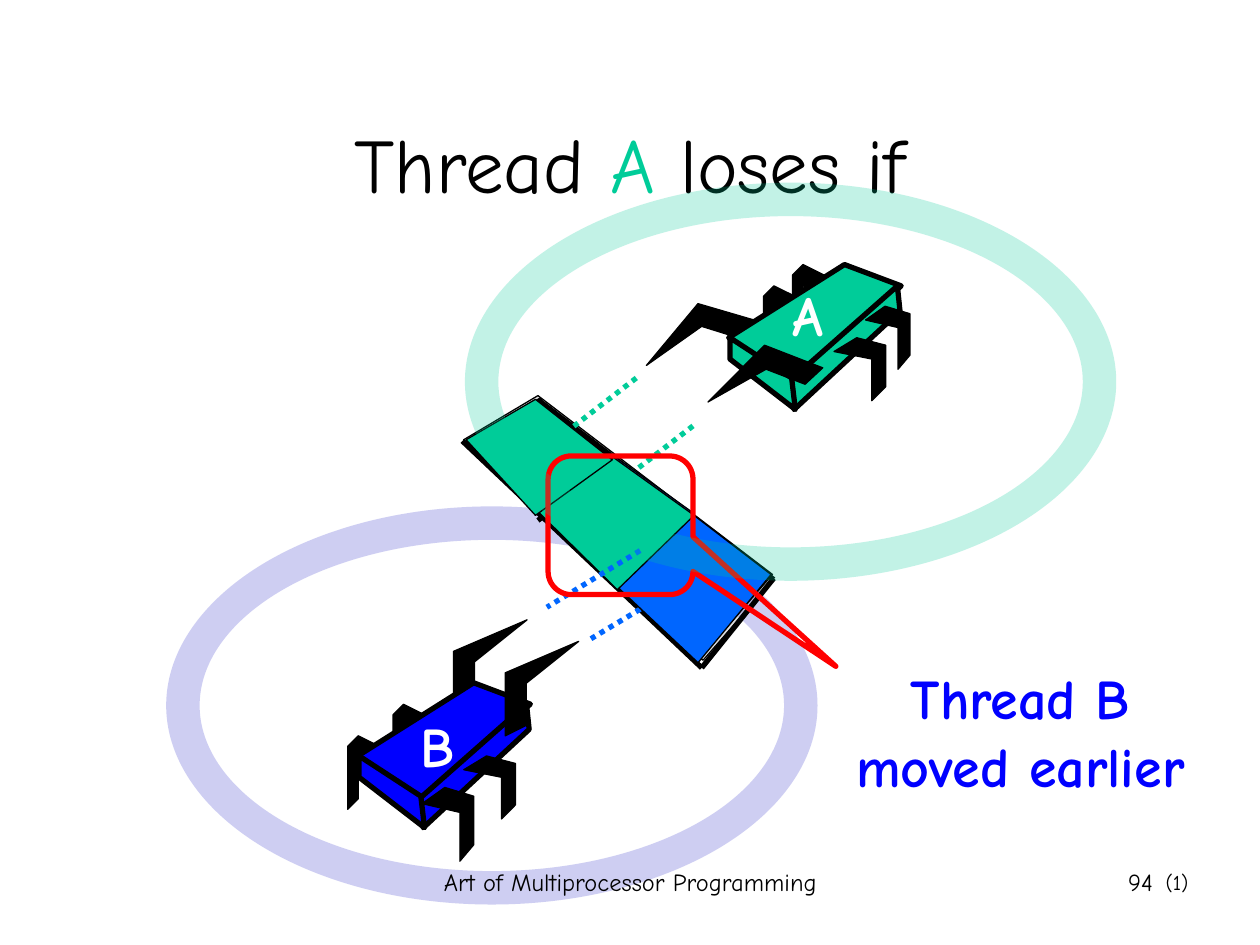
from dataclasses import dataclass

from lxml import etree
from pptx import Presentation
from pptx.dml import color
from pptx.enum import dml, shapes, text
from pptx.oxml import ns
from pptx.util import Pt


@dataclass(frozen=True)
class Theme:
    font: str = "Comic Neue"
    black: str = "000000"
    white: str = "FFFFFF"
    grey: str = "DDDDDD"
    thread_a: str = "00CC99"
    thread_b: str = "0000FF"
    tile_b: str = "0066FF"
    ring_b: str = "3333CC"
    alert: str = "FF0000"
    title: int = 44
    label: int = 32
    footer: int = 14
    click: int = 12
    thin: float = 0.75
    thick: float = 3


theme = Theme()
rgb = color.RGBColor.from_string


def outline(parent, points, fill, width=theme.thin, at=(0, 0), scale=(1, 1)):
    """Add a closed, black-edged polygon, its points scaled and then moved to at."""
    placed = [(Pt(at[0] + x * scale[0]), Pt(at[1] + y * scale[1])) for x, y in points]
    builder = parent.build_freeform(*placed[0])
    builder.add_line_segments(placed[1:], close=True)
    polygon = builder.convert_to_shape()
    polygon.shadow.inherit = False
    polygon.fill.solid()
    polygon.fill.fore_color.rgb = rgb(fill)
    polygon.line.color.rgb = rgb(theme.black)
    polygon.line.width = Pt(width)


def write(frame, runs, size, align, bold=False):
    """Fill a text frame with one paragraph of (wording, colour) runs."""
    frame.auto_size = text.MSO_AUTO_SIZE.NONE
    paragraph = frame.paragraphs[0]
    paragraph.alignment = align
    for wording, tint in runs:
        run = paragraph.add_run()
        run.text = wording
        run.font.name = theme.font
        run.font.size = Pt(size)
        run.font.bold = bold
        run.font.color.rgb = rgb(tint)


prs = Presentation()
prs.slide_width, prs.slide_height = Pt(720), Pt(540)
slide = prs.slides.add_slide(prs.slide_layouts[5])
canvas = slide.shapes
CENTER, RIGHT = text.PP_ALIGN.CENTER, text.PP_ALIGN.RIGHT

title = canvas.title
title.left, title.top, title.width, title.height = Pt(54), Pt(48), Pt(612), Pt(90)
title.text_frame.vertical_anchor = text.MSO_ANCHOR.MIDDLE
write(title.text_frame,
      [("Thread ", theme.black), ("A", theme.thread_a), (" loses if", theme.black)],
      theme.title, CENTER)

# Board under the tiles
outline(canvas, [(396.7, 295.9), (352.8, 337), (401.8, 377.3), (442.1, 331.2)], theme.grey)
outline(canvas, [(307.4, 226.1), (265, 251.3), (398.9, 377.3), (441.4, 328.3)], theme.grey)

# Rings: the one around B lies behind the robots, the one around A in front
rings = []
for left, top, tint in [(95, 289.4, theme.ring_b), (265.7, 104.4, theme.thread_a)]:
    ring = canvas.add_shape(shapes.MSO_SHAPE.DONUT, Pt(left), Pt(top), Pt(372.2), Pt(227.5))
    ring.adjustments[0] = 0.084
    ring.shadow.inherit = False
    ring.fill.solid()
    ring.fill.fore_color.rgb = rgb(tint)
    solid = ring.fill.fore_color._xFill.find(ns.qn("a:srgbClr"))
    etree.SubElement(solid, ns.qn("a:alpha"), val="24000")
    ring.line.fill.background()
    rings.append(ring)

# Robots: body faces are measured from the topmost corner
top_face = [(0, 0), (-66.2, 41.8), (-28.8, 67), (32.4, 12.2)]
side_face = [(30.2, 12.2), (-30.2, 65.5), (-28.8, 82.8), (31.7, 26.6)]
end_face = [(-65.5, 41.8), (-65.5, 54), (-28.1, 82.8), (-30.2, 64.8)]
far_leg = [(18, 6), (6, 0), (0, 6), (0, 42), (6, 36), (6, 12), (18, 18)]
near_leg = [(13, 0), (0, 7.9), (21.6, 12.2), (21.6, 36), (29.5, 28), (29.5, 4.3)]
arm_b = [(0, 54), (12, 48), (12, 24), (42, 0), (0, 18)]
arms_a = [
    [(433.4, 183.6), (424.1, 193.7), (401, 186.5), (369.4, 208.8), (398.9, 173.5)],
    [(470.2, 210.2), (460.1, 219.6), (437.8, 211), (404.6, 229.7), (437, 197.3)],
]
robots = [
    (theme.thread_b, (270.7, 390.2), [(198.7, 420.5), (224.6, 402.5)],
     [((241.2, 450), (1, 1.17)), ((265, 432), (1, 1))],
     [(arm_b, (259.2, 354.2)), (arm_b, (288.7, 366.5))]),
    (theme.thread_a, (482.6, 151.2), [(452.9, 151.2), (436.3, 163.4)],
     [((494.6, 175), (0.86, 1)), ((476.6, 193), (1, 1))],
     [(arm, (0, 0)) for arm in arms_a]),
]
for tint, corner, far_legs, near_legs, (far_arm, near_arm) in robots:
    robot = canvas.add_group_shape().shapes
    outline(robot, far_arm[0], theme.black, at=far_arm[1])
    for place in far_legs:
        outline(robot, far_leg, theme.black, at=place)
    for face in (top_face, side_face, end_face):
        outline(robot, face, tint, theme.thick, corner)
    for place, stretch in near_legs:
        outline(robot, near_leg, theme.black, at=place, scale=stretch)
    outline(robot, near_arm[0], theme.black, at=near_arm[1])

# Board edges and dividers, then the dotted reaches of each robot
strokes = [
    (264.2, 252, 401, 381.6, theme.black),
    (308.9, 229.7, 442.1, 331.2, theme.black),
    (266.4, 253.4, 309.6, 228.2, theme.black),
    (401, 381.6, 442.1, 330.5, theme.black),
    (354.2, 337, 398.9, 297.4, theme.black),
    (307.4, 297.4, 352.1, 264.2, theme.black),
    (363.6, 216, 313.2, 254.9, theme.thread_a),
    (396, 243.4, 345.6, 282.2, theme.thread_a),
    (391.7, 332.6, 337.7, 365, theme.tile_b),
    (365.8, 314.6, 312.5, 347, theme.tile_b),
]
for x1, y1, x2, y2, tint in strokes:
    stroke = canvas.add_connector(shapes.MSO_CONNECTOR.STRAIGHT, Pt(x1), Pt(y1), Pt(x2), Pt(y2))
    stroke.line.color.rgb = rgb(tint)
    stroke.line.width = Pt(theme.thick)
    if tint != theme.black:
        stroke.line.dash_style = dml.MSO_LINE.ROUND_DOT
    etree.SubElement(stroke._element.spPr, ns.qn("a:effectLst"))
upper_reach_b = stroke

# Tiles: both B tiles, then the A tiles that cover the middle one
tile_pairs = [
    (theme.tile_b,
     [(394.6, 293), (351.4, 334.1), (398.9, 378.7), (440.6, 328.3)],
     [(306.7, 290.9), (352.1, 335.5), (396, 293), (349.9, 259.9)]),
    (theme.thread_a,
     [(307.4, 292.3), (352.8, 337), (396.7, 294.5), (350.6, 261.4)],
     [(306, 228.2), (266.4, 251.3), (306, 294.5), (349.9, 262.8)]),
]
for tint, *tiles in tile_pairs:
    pair = canvas.add_group_shape().shapes
    for tile in tiles:
        outline(pair, tile, tint)
canvas._spTree.append(upper_reach_b._element)

callout = canvas.add_shape(shapes.MSO_SHAPE.ROUNDED_RECTANGULAR_CALLOUT,
                           Pt(313.2), Pt(260.6), Pt(82.8), Pt(79.2))
for index, value in enumerate((1.486, 1.018, 0.167)):
    callout.adjustments[index] = value
callout.shadow.inherit = False
callout.fill.background()
callout.line.color.rgb = rgb(theme.alert)
callout.line.width = Pt(theme.thick)
canvas._spTree.append(rings[1]._element)

captions = [
    ("A", 445.7, 157, 31.7, 46, theme.label, theme.white, RIGHT, True, False),
    ("B", 233.3, 403.2, 33.8, 46, theme.label, theme.white, RIGHT, True, False),
    ("(1)", 658.8, 493.2, 27.4, 21.6, theme.click, theme.black, RIGHT, False, False),
    ("Thread B moved earlier", 468.7, 375.8, 229, 84.2, theme.label, theme.thread_b,
     CENTER, True, True),
    ("Art of Multiprocessor Programming", 246.2, 491.8, 228.2, 36, theme.footer,
     theme.black, CENTER, False, True),
    ("94", 516.2, 491.8, 149.8, 36, theme.footer, theme.black, RIGHT, False, True),
]
for wording, left, top, width, height, size, tint, align, bold, wrap in captions:
    caption = canvas.add_textbox(Pt(left), Pt(top), Pt(width), Pt(height)).text_frame
    caption.word_wrap = wrap
    write(caption, [(wording, tint)], size, align, bold)

prs.save("out.pptx")
